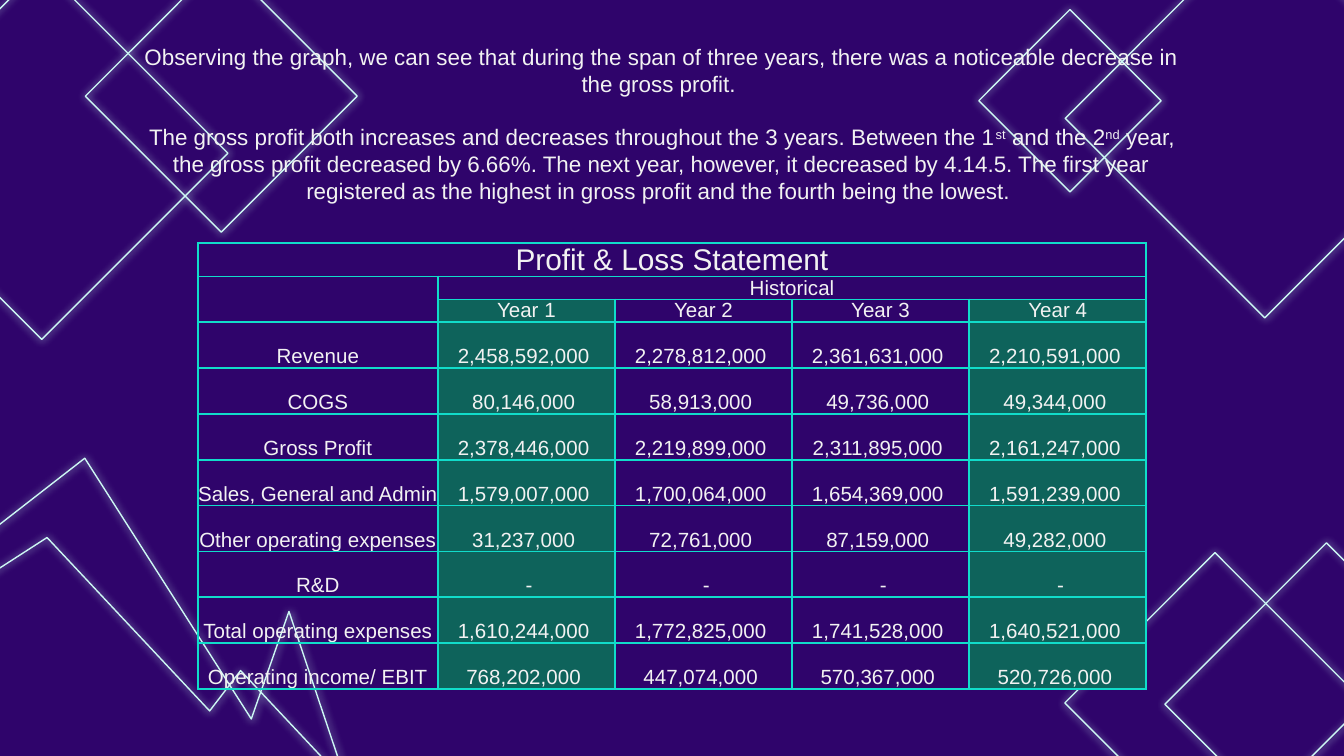
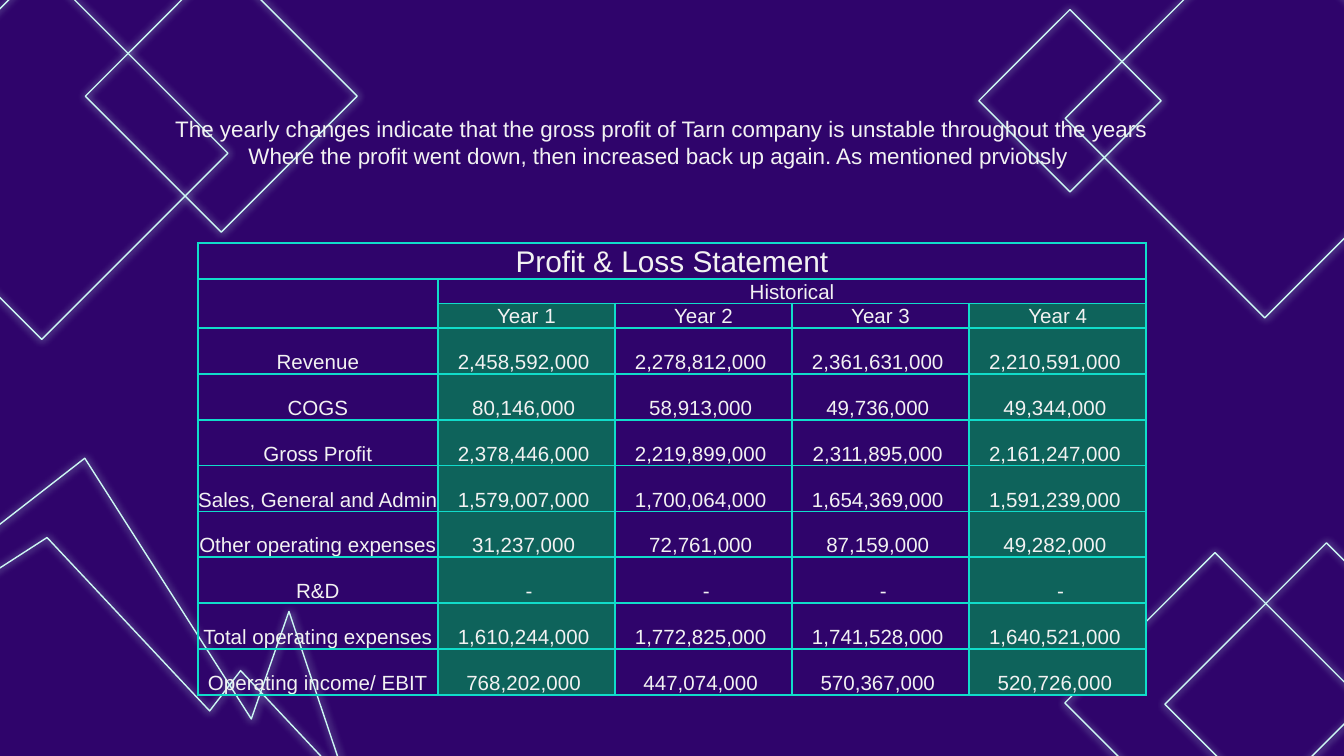
from dataclasses import dataclass

from lxml.etree import SubElement
from pptx import Presentation
from pptx.dml.color import RGBColor
from pptx.enum.shapes import MSO_SHAPE
from pptx.enum.text import MSO_ANCHOR, PP_ALIGN
from pptx.oxml.ns import qn
from pptx.util import Pt

# Each slide: top of the text box, gap between paragraphs,
# then paragraphs of (text, is_superscript) runs.
SLIDES = [
    (28.1, 14.4, [
        [("Observing the graph, we can see that during the span of three years, "
          "there was a noticeable decrease in the gross profit. ", False)],
        [("The gross profit both increases and decreases throughout the 3 years. Between the 1", False),
         ("st", True), (" and the 2", False), ("nd", True),
         (" year, the gross profit decreased by 6.66%. The next year, however, it decreased "
          "by 4.14.5. The first year registered as the highest in gross profit and the fourth "
          "being the lowest. ", False)],
    ]),
    (38.2, 0, [
        [("The yearly changes indicate that the gross profit of Tarn company is unstable "
          "throughout the years", False)],
        [("Where the profit went down, then increased back up again. As mentioned prviously ", False)],
    ]),
]

TABLE_TITLE = "Profit & Loss Statement"
PERIOD = "Historical"
YEARS = ["Year 1", "Year 2", "Year 3", "Year 4"]
STATEMENT = [
    ("Revenue", 2458592000, 2278812000, 2361631000, 2210591000),
    ("COGS", 80146000, 58913000, 49736000, 49344000),
    ("Gross Profit", 2378446000, 2219899000, 2311895000, 2161247000),
    ("Sales, General and Admin", 1579007000, 1700064000, 1654369000, 1591239000),
    ("Other operating expenses", 31237000, 72761000, 87159000, 49282000),
    ("R&D", None, None, None, None),
    ("Total operating expenses", 1610244000, 1772825000, 1741528000, 1640521000),
    ("Operating income/ EBIT", 768202000, 447074000, 570367000, 520726000),
]
HIGHLIGHTED_COLUMNS = (1, 4)

# Left, top, side, rotation
DIAMONDS = [
    (601.9, -12.2, 151.2, 135), (538.6, 19.4, 69.1, 135),
    (-48.2, 11.5, 141.1, 135), (67, 0, 103, 135),
    (649.4, 316.1, 122.4, 225), (594, 319.7, 113.8, 225),
]
ZIGZAGS = [
    [(-64.1, 345.6), (25.2, 288), (112.3, 380.9), (128.9, 359.3), (217.4, 453.6)],
    [(-84.2, 346.3), (45.4, 245.5), (134.6, 385.2), (154.8, 327.6), (197.3, 454.3)],
]


@dataclass(frozen=True)
class Theme:
    background: str = "2F046B"
    neon: str = "CDF8F4"
    border: str = "11DCCA"
    highlight: str = "0E635B"
    text: str = "F2F2F2"
    font: str = "Arial"
    title_size: float = 16
    body_size: float = 12
    cell_size: float = 11


THEME = Theme()


def color(value):
    return RGBColor.from_string(value)


def style_paragraph(paragraph, size):
    paragraph.alignment = PP_ALIGN.CENTER
    paragraph.font.name = THEME.font
    paragraph.font.size = Pt(size)
    paragraph.font.color.rgb = color(THEME.text)


def style_neon(shape):
    """Outline the shape with a thin line and a soft glow of the same colour."""
    shape.fill.background()
    shape.line.color.rgb = color(THEME.neon)
    shape.line.width = Pt(0.75)
    shape.shadow.inherit = False
    effects = shape.element.spPr.find(qn("a:effectLst"))
    glow = SubElement(effects, qn("a:outerShdw"), blurRad=str(Pt(4.5)), dist="0",
                      algn="ctr", rotWithShape="0")
    SubElement(glow, qn("a:srgbClr"), val=THEME.neon)


def add_decorations(slide):
    for left, top, side, rotation in DIAMONDS:
        diamond = slide.shapes.add_shape(MSO_SHAPE.RECTANGLE, Pt(left), Pt(top), Pt(side), Pt(side))
        diamond.rotation = rotation
        style_neon(diamond)
    for corners in ZIGZAGS:
        points = [(Pt(x), Pt(y)) for x, y in corners]
        builder = slide.shapes.build_freeform(*points[0])
        builder.add_line_segments(points[1:], close=False)
        style_neon(builder.convert_to_shape())


def add_borders(cell):
    properties = cell._tc.get_or_add_tcPr()
    for index, side in enumerate(("a:lnL", "a:lnR", "a:lnT", "a:lnB")):
        line = properties.makeelement(qn(side), {"w": str(Pt(1))})
        fill = SubElement(line, qn("a:solidFill"))
        SubElement(fill, qn("a:srgbClr"), val=THEME.border)
        properties.insert(index, line)


def statement_grid():
    """Return the table's text, row by row."""
    header = [[TABLE_TITLE] + [""] * 4, ["", PERIOD, "", "", ""], [""] + YEARS]
    body = [[label] + ["-" if value is None else f"{value:,}" for value in values]
            for label, *values in STATEMENT]
    return header + body


def add_statement(slide):
    grid = statement_grid()
    widths = [128.6] + [94.9] * len(YEARS)
    heights = [18, 12.2, 12.2] + [24.55] * len(STATEMENT)
    frame = slide.shapes.add_table(len(heights), len(widths), Pt(106), Pt(130.1),
                                   Pt(sum(widths)), Pt(sum(heights)))
    table = frame.table
    table.first_row = table.horz_banding = False
    for column, width in zip(table.columns, widths):
        column.width = Pt(width)
    for row, height in zip(table.rows, heights):
        row.height = Pt(height)

    for row_index, texts in enumerate(grid):
        for column_index, text in enumerate(texts):
            cell = table.cell(row_index, column_index)
            cell.text = text
            cell.vertical_anchor = MSO_ANCHOR.BOTTOM
            cell.margin_top = cell.margin_bottom = 0
            cell.margin_left = Pt(3) if text == "-" else 0
            cell.margin_right = Pt(3) if "," in text and column_index else 0
            style_paragraph(cell.text_frame.paragraphs[0],
                            THEME.cell_size if row_index else THEME.title_size)
            if row_index >= 2 and column_index in HIGHLIGHTED_COLUMNS:
                cell.fill.solid()
                cell.fill.fore_color.rgb = color(THEME.highlight)
            else:
                cell.fill.background()
            add_borders(cell)

    for first, last in [((0, 0), (0, 4)), ((1, 0), (2, 0)), ((1, 1), (1, 4))]:
        table.cell(*first).merge(table.cell(*last))


def add_commentary(slide, top, gap, paragraphs):
    box = slide.shapes.add_textbox(Pt(69.8), Pt(top), Pt(569.5), Pt(76.3))
    frame = box.text_frame
    frame.word_wrap = True
    frame.vertical_anchor = MSO_ANCHOR.MIDDLE
    frame.margin_left = frame.margin_right = frame.margin_top = frame.margin_bottom = Pt(7.2)
    for index, runs in enumerate(paragraphs):
        paragraph = frame.add_paragraph() if index else frame.paragraphs[0]
        style_paragraph(paragraph, THEME.body_size)
        paragraph.space_before = Pt(gap if index else 0)
        for text, is_superscript in runs:
            run = paragraph.add_run()
            run.text = text
            if is_superscript:
                run.font._element.set("baseline", "30000")


def main():
    presentation = Presentation()
    presentation.slide_width, presentation.slide_height = Pt(720), Pt(405)
    background = presentation.slide_master.background.fill
    background.solid()
    background.fore_color.rgb = color(THEME.background)
    for top, gap, paragraphs in SLIDES:
        slide = presentation.slides.add_slide(presentation.slide_layouts[6])
        add_decorations(slide)
        add_statement(slide)
        add_commentary(slide, top, gap, paragraphs)
    presentation.save("out.pptx")


if __name__ == "__main__":
    main()
